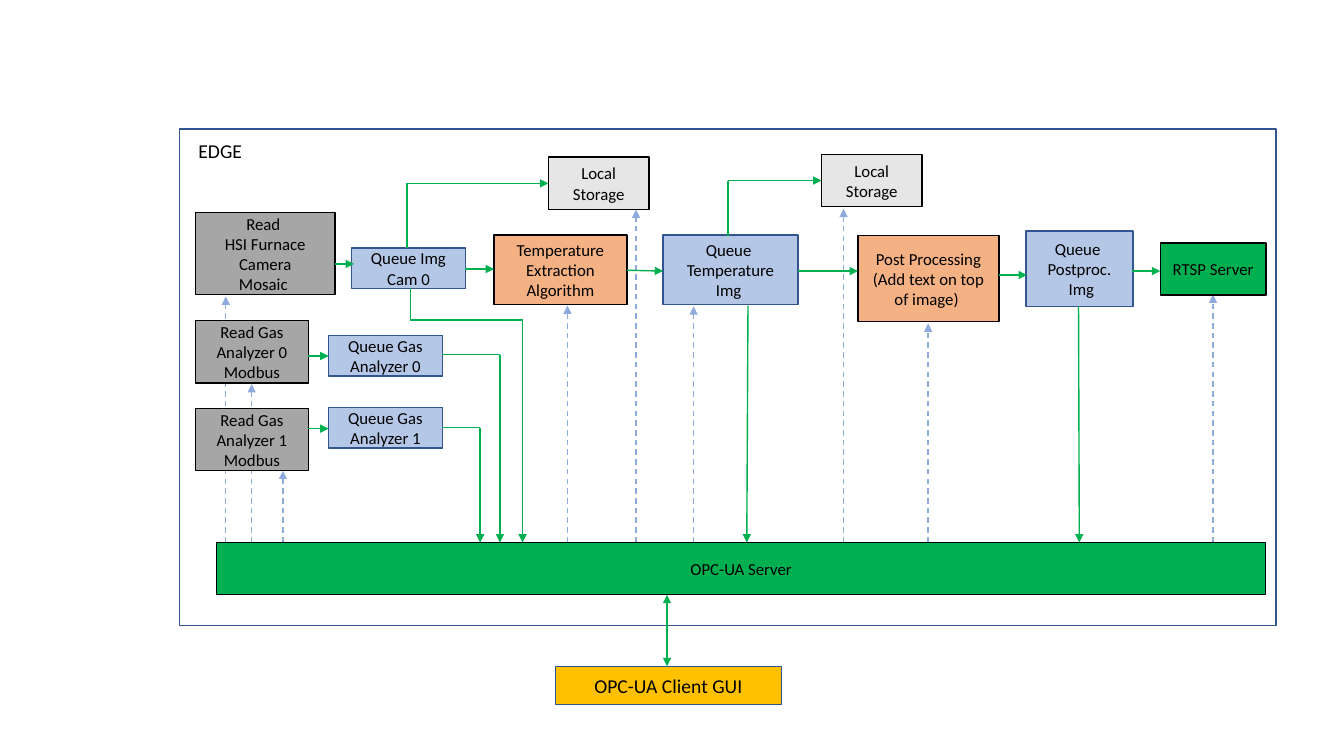
"""Build the edge data-flow slide: acquisition, queues, processing and OPC-UA server."""
import dataclasses

import pptx
import pptx.dml.color
import pptx.enum.dml
import pptx.enum.shapes
import pptx.enum.text
import pptx.oxml.xmlchemy
import pptx.util
from pptx.oxml.ns import qn

Cm = pptx.util.Cm
RGB = pptx.dml.color.RGBColor.from_string


@dataclasses.dataclass(frozen=True)
class Theme:
    font: str = "Calibri"
    body: int = 12
    label: int = 14
    stroke: int = 1
    text: str = "000000"
    border: str = "000000"
    blue_border: str = "325491"
    reader: str = "A6A6A6"
    queue: str = "B4C7E7"
    process: str = "F4B183"
    storage: str = "E7E6E6"
    server: str = "00B050"
    client: str = "FFC000"
    flow: str = "00B050"
    control: str = "8FAADC"


theme = Theme()
deck = pptx.Presentation()
deck.slide_width, deck.slide_height = Cm(33.87), Cm(19.05)
page = deck.slides.add_slide(deck.slide_layouts[6])


def write_text(box, lines, size, align, frame_format):
    """Fill a box with one paragraph per line."""
    frame = box.text_frame
    for name, value in frame_format.items():
        setattr(frame, name, value)
    font_format = {"name": theme.font, "size": pptx.util.Pt(size)}
    for number, line in enumerate(lines):
        para = frame.add_paragraph() if number else frame.paragraphs[0]
        para.alignment = align
        span = para.add_run()
        span.text = line
        span.font.color.rgb = RGB(theme.text)
        for name, value in font_format.items():
            setattr(span.font, name, value)


def add_line(start, end, color, ends=(), dash=None):
    """Draw a straight line with triangles at the named ends."""
    points = [Cm(value) for value in (*start, *end)]
    line = page.shapes.add_connector(pptx.enum.shapes.MSO_CONNECTOR.STRAIGHT, *points)
    line.line.color.rgb = RGB(color)
    line_format = {"width": pptx.util.Pt(theme.stroke), "dash_style": dash}
    for name, value in line_format.items():
        setattr(line.line, name, value)
    outline = line.line._get_or_add_ln()
    for end_name in ends:
        arrow = pptx.oxml.xmlchemy.OxmlElement(f"a:{end_name}")
        arrow.set("type", "triangle")
        outline.append(arrow)
    line._element.spPr.append(pptx.oxml.xmlchemy.OxmlElement("a:effectLst"))


server_top, server_bottom = 13.67, 14.99

control_arrows = [
    (5.69, 7.47), (6.34, 9.68), (7.13, 11.86), (14.3, 7.7), (16.03, 5.28),
    (17.48, 7.72), (21.26, 5.26), (23.39, 8.15), (30.57, 7.42),
]
for x, tip in control_arrows:
    add_line((x, server_top), (x, tip), theme.control, ["tailEnd"],
             pptx.enum.dml.MSO_LINE.DASH)

boxes = [
    (4.52, 3.25, 27.64, 12.52, None, []),
    (4.93, 5.36, 3.51, 2.06, theme.reader, ["Read ", "HSI Furnace Camera", "Mosaic "]),
    (8.86, 6.25, 2.87, 1.02, theme.queue, ["Queue Img Cam 0"]),
    (12.45, 5.92, 3.35, 1.75, theme.process, ["Temperature", "Extraction Algorithm"]),
    (16.71, 5.92, 3.4, 1.75, theme.queue, ["Queue ", "Temperature Img "]),
    (21.62, 5.94, 3.56, 2.16, theme.process,
     ["Post Processing", "(Add text on top of image) "]),
    (25.86, 5.82, 2.69, 1.9, theme.queue, ["Queue ", "Postproc.", " Img"]),
    (29.24, 6.12, 2.67, 1.32, theme.server, ["RTSP Server"]),
    (13.82, 3.96, 2.54, 1.32, theme.storage, ["Local Storage"]),
    (20.7, 3.89, 2.54, 1.32, theme.storage, ["Local Storage"]),
    (5.46, server_top, 26.44, 1.32, theme.server, ["OPC-UA Server"]),
    (14, 16.79, 5.69, 0.97, theme.client, ["OPC-UA Client GUI"]),
]
for analyzer in range(2):
    boxes += [
        (4.93, 8.08 + 2.21 * analyzer, 2.84, 1.57, theme.reader,
         [f"Read Gas Analyzer {analyzer}", "Modbus"]),
        (8.28, 8.46 + 1.81 * analyzer, 2.87, 1.02, theme.queue,
         [f"Queue Gas Analyzer {analyzer}"]),
    ]

centred = {"word_wrap": True, "vertical_anchor": pptx.enum.text.MSO_ANCHOR.MIDDLE}
for left, top, width, height, fill, lines in boxes:
    box = page.shapes.add_shape(pptx.enum.shapes.MSO_SHAPE.RECTANGLE,
                                Cm(left), Cm(top), Cm(width), Cm(height))
    box.shadow.inherit = False
    if fill:
        box.fill.solid()
        box.fill.fore_color.rgb = RGB(fill)
    else:
        box.fill.background()
    blue = fill in (None, theme.queue, theme.client)
    box.line.color.rgb = RGB(theme.blue_border if blue else theme.border)
    box.line.width = pptx.util.Pt(theme.stroke)
    size = theme.label if fill == theme.client else theme.body
    write_text(box, lines, size, pptx.enum.text.PP_ALIGN.CENTER, centred)

edge_label = page.shapes.add_textbox(Cm(4.75), Cm(3.38), Cm(1.9), Cm(0.86))
write_text(edge_label, ["EDGE"], theme.label, pptx.enum.text.PP_ALIGN.LEFT,
           {"word_wrap": False,
            "auto_size": pptx.enum.text.MSO_AUTO_SIZE.SHAPE_TO_FIT_TEXT})

flow_routes = [
    [(8.43, 6.65), (8.92, 6.65)],
    [(11.73, 6.78), (12.45, 6.78)],
    [(15.8, 6.81), (16.71, 6.83)],
    [(20.12, 6.83), (21.62, 6.83)],
    [(25.17, 6.93), (25.88, 6.93)],
    [(28.54, 6.83), (29.24, 6.83)],
    [(7.77, 8.97), (8.28, 8.97)],
    [(7.77, 10.8), (8.28, 10.8)],
    [(10.26, 6.25), (10.26, 4.62), (13.82, 4.62)],
    [(18.35, 5.94), (18.35, 4.55), (20.7, 4.55)],
    [(10.34, 7.26), (10.34, 8.06), (13.17, 8.06), (13.17, server_top)],
    [(11.15, 8.94), (12.6, 8.94), (12.6, server_top)],
    [(11.15, 10.78), (12.1, 10.78), (12.1, server_top)],
    [(18.85, 7.7), (18.82, server_top)],
    [(27.18, 7.72), (27.2, server_top)],
]
for route in flow_routes:
    for start, end in zip(route, route[1:]):
        add_line(start, end, theme.flow, ["tailEnd"] if end == route[-1] else [])
add_line((16.81, server_bottom), (16.81, 16.79), theme.flow, ["headEnd", "tailEnd"])

deck.save("out.pptx")
